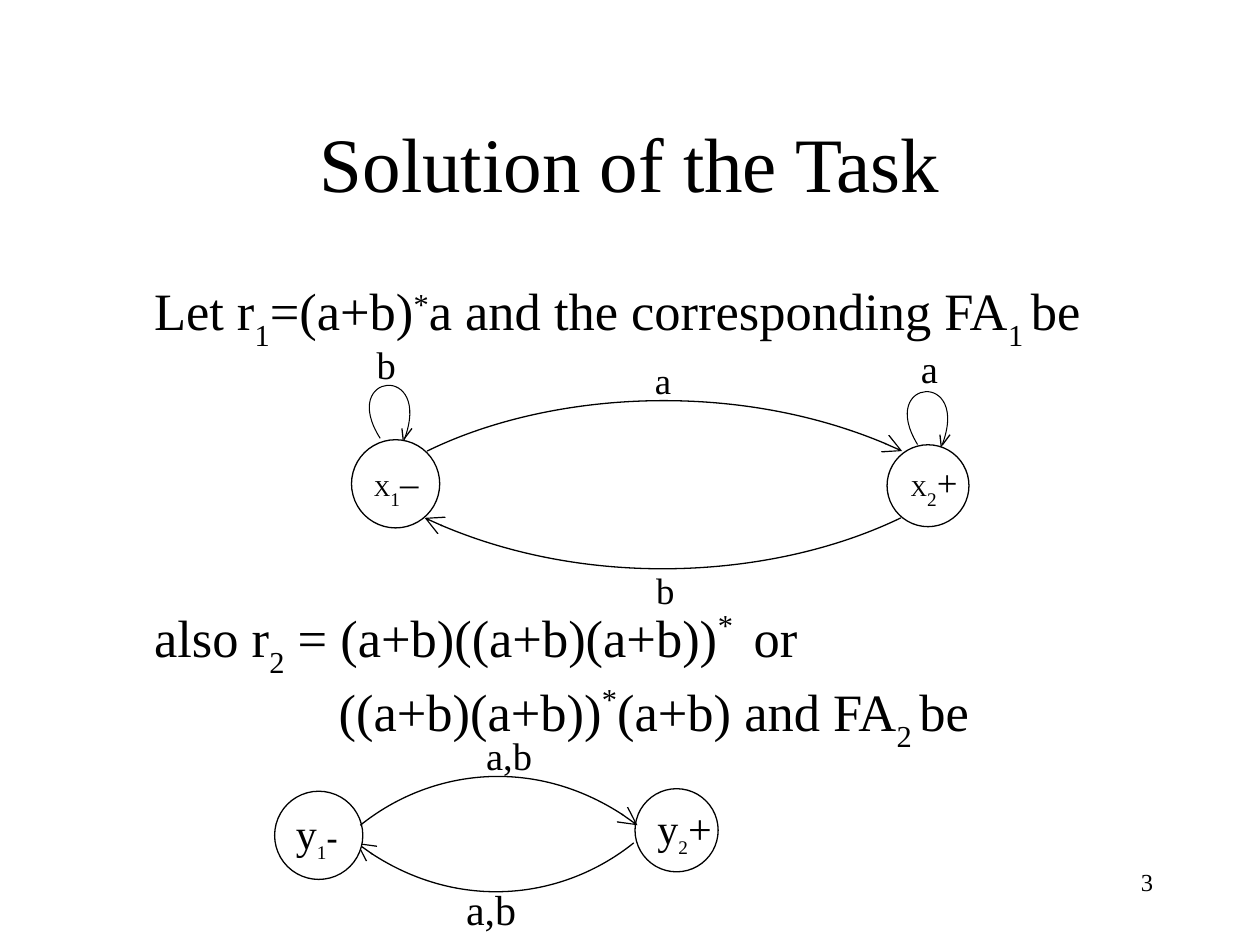
from dataclasses import dataclass

from lxml.etree import SubElement
from pptx import Presentation
from pptx.dml.color import RGBColor
from pptx.enum.shapes import MSO_CONNECTOR as Connector, MSO_SHAPE as Preset
from pptx.enum.text import MSO_ANCHOR as Anchor, PP_ALIGN as Align
from pptx.oxml.ns import qn
from pptx.util import Inches, Pt

COLUMNS, ROWS = 100, 75
COLORS = {"ink": "000000", "paper": "FFFFFF"}
FONT = "Times New Roman"
SUB, SUPER, HIGH = -30, 30, 40

Point = tuple[float, float]


@dataclass(frozen=True)
class Run:
    text: str
    size: float
    baseline: int = 0
    bold: bool = False


@dataclass(frozen=True)
class Line:
    runs: list[Run]
    margin: float = 0
    space_before: float = 0
    align: Align = Align.LEFT


@dataclass(frozen=True)
class TextBlock:
    column: float
    row: float
    width: float
    height: float
    lines: list[Line]
    anchor: Anchor = Anchor.TOP


@dataclass(frozen=True)
class State:
    column: float
    row: float
    diameter: float


@dataclass(frozen=True)
class Curve:
    points: tuple[Point, Point, Point, Point]
    weight: float = 0.75
    arrow: bool = True
    rotation: float = 0


@dataclass(frozen=True)
class Loop:
    column: float
    row: float
    rotation: float


presentation = Presentation()
presentation.slide_width, presentation.slide_height = Inches(10), Inches(7.5)
slide = presentation.slides.add_slide(presentation.slide_layouts[6])


def across(columns: float) -> int:
    return round(presentation.slide_width * columns / COLUMNS)


def down(rows: float) -> int:
    return round(presentation.slide_height * rows / ROWS)


def color(name: str) -> RGBColor:
    return RGBColor.from_string(COLORS[name])


def style_line(shape, weight: float) -> None:
    shape.line.color.rgb = color("ink")
    shape.line.width = Pt(weight)


def draw_text(block: TextBlock) -> None:
    shape = slide.shapes.add_textbox(across(block.column), down(block.row),
                                     across(block.width), down(block.height))
    frame = shape.text_frame
    frame.word_wrap = True
    frame.vertical_anchor = block.anchor
    for index, line in enumerate(block.lines):
        paragraph = frame.add_paragraph() if index else frame.paragraphs[0]
        paragraph.alignment = line.align
        paragraph.space_before = Pt(line.space_before)
        paragraph._p.get_or_add_pPr().set("marL", str(across(line.margin)))
        for item in line.runs:
            run = paragraph.add_run()
            run.text = item.text
            run.font.name = FONT
            run.font.size = Pt(item.size)
            run.font.bold = item.bold
            run.font.color.rgb = color("ink")
            if item.baseline:
                run.font._element.set("baseline", str(item.baseline * 1000))


def draw_state(state: State) -> None:
    shape = slide.shapes.add_shape(Preset.OVAL, across(state.column), down(state.row),
                                   across(state.diameter), down(state.diameter))
    shape.shadow.inherit = False
    shape.fill.solid()
    shape.fill.fore_color.rgb = color("paper")
    style_line(shape, 0.75)


def draw_curve(curve: Curve) -> None:
    start, *others = [(across(x), down(y)) for x, y in curve.points]
    builder = slide.shapes.build_freeform(*start)
    builder.add_line_segments(others, close=False)
    shape = builder.convert_to_shape()
    segments = list(shape._element.iter(qn("a:lnTo")))
    bezier = SubElement(segments[0].getparent(), qn("a:cubicBezTo"))
    for segment in segments:
        bezier.append(segment[0])
        segment.getparent().remove(segment)
    shape.rotation = curve.rotation
    shape.shadow.inherit = False
    shape.fill.background()
    style_line(shape, curve.weight)
    if curve.arrow:
        SubElement(shape.line._get_or_add_ln(), qn("a:tailEnd"),
                   type="arrow", w="lg", len="lg")


def draw_barb(start: Point, end: Point) -> None:
    connector = slide.shapes.add_connector(Connector.STRAIGHT, across(start[0]), down(start[1]),
                                           across(end[0]), down(end[1]))
    style_line(connector, 0.75)
    SubElement(connector._element.spPr, qn("a:effectLst"))


def draw_loop(loop: Loop) -> None:
    def place(x: float, y: float) -> Point:
        return loop.column + x, loop.row + y

    draw_curve(Curve((place(3.7, 6.3), place(0, 1.3), place(7.5, 0), place(5.6, 6.3)),
                     0.6, False, loop.rotation))
    draw_barb(place(6, 5.5), place(5.4, 6.3))
    draw_barb(place(5.2, 5.5), place(5.3, 6.4))


def label(text: str, size: float, column: float, row: float,
          width: float, height: float) -> TextBlock:
    return TextBlock(column, row, width, height, [Line([Run(text, size)])])


def state_name(column: float, row: float, letter: Run, index: str, sign: Run) -> TextBlock:
    return TextBlock(column, row, 8, 4.6, [Line([letter, Run(index, 19, SUB), sign])])


BODY = [
    Line([Run("Let r", 30), Run("1", 30, SUB), Run("=(a+b)", 30), Run("*", 30, SUPER),
          Run("a and the corresponding FA", 30), Run("1 ", 30, SUB), Run("be", 30)], 3.75),
    Line([Run("also r", 30), Run("2", 30, SUB), Run(" = (a+b)((a+b)(a+b))", 30),
          Run("* ", 30, HIGH), Run(" or", 30)], 3.75, 144.2),
    Line([Run("((a+b)(a+b))", 30), Run("*", 30, HIGH), Run("(a+b) and FA", 30),
          Run("2 ", 30, SUB), Run("be", 30)], 18.4),
]
STATES = [State(27.9, 34.9, 7), State(70.4, 35.3, 6.5),
          State(21.8, 62.8, 7), State(50.4, 62.6, 6.6)]
RETURN_CURVE = Curve(((50.3, 66.9), (44.7, 71.4), (35.6, 72.5), (28.3, 66.9)))
CURVES = [
    Curve(((33.9, 35.8), (43.5, 31.1), (59.2, 30), (71.6, 35.8))),
    Curve(((71.5, 41.1), (61.8, 45.8), (46.2, 47), (33.7, 41.1))),
    Curve(((28.6, 65.5), (34.2, 61), (43.3, 59.9), (50.6, 65.5))),
]
LOOPS = [Loop(69.4, 29, 5), Loop(26.7, 28.5, 4)]
TEXTS = [
    TextBlock(7.5, 6.6, 85, 12.5, [Line([Run("Solution of the Task", 44)], align=Align.CENTER)],
              Anchor.MIDDLE),
    TextBlock(7.5, 21.6, 85, 45, BODY),
    label("b", 22, 28.9, 26.6, 8.4, 5.6),
    label("a", 22, 72.1, 26.9, 8.4, 5.6),
    label("a", 21, 51, 27.9, 3.4, 3.3),
    label("b", 21, 51.1, 44.6, 3.9, 4.6),
    label("a,b", 22, 37.6, 57.6, 10.1, 4.1),
    label("a,b", 24, 36, 69.6, 7.5, 5.4),
    state_name(28.7, 36, Run("X", 13), "1", Run("–", 21)),
    state_name(71.3, 36, Run("X", 13), "2", Run("+", 21)),
    state_name(22.5, 63.6, Run("y", 24), "1", Run("-", 19, bold=True)),
    state_name(51.2, 63.2, Run("y", 24), "2", Run("+", 24)),
    TextBlock(71.7, 68.3, 20.8, 5, [Line([Run("3", 14)], align=Align.RIGHT)]),
]

draw_curve(RETURN_CURVE)
for state in STATES:
    draw_state(state)
for curve in CURVES:
    draw_curve(curve)
for loop in LOOPS:
    draw_loop(loop)
for block in TEXTS:
    draw_text(block)

presentation.save("out.pptx")
